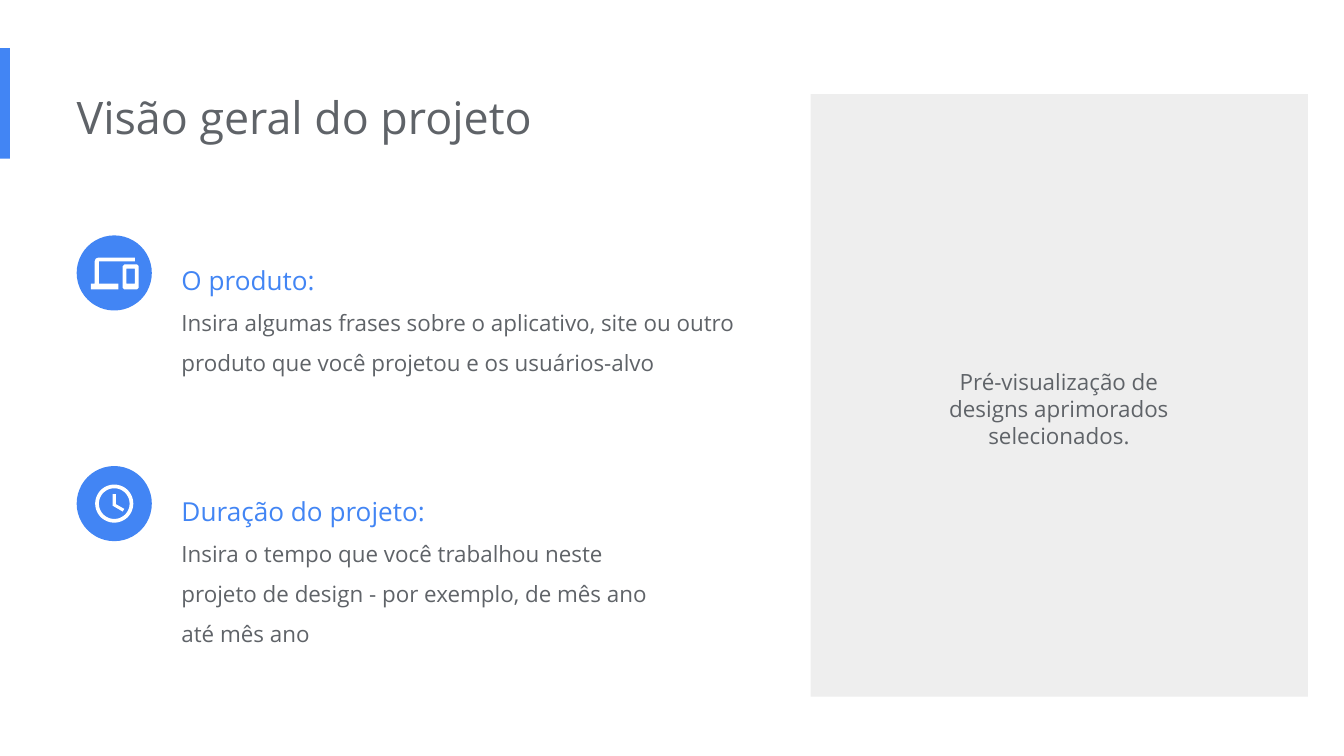
import math

import pptx
import pptx.dml.color
import pptx.enum.shapes
import pptx.enum.text
import pptx.util
from pptx.util import Cm

BLUE = pptx.dml.color.RGBColor(0x42, 0x85, 0xF4)
GRAY = pptx.dml.color.RGBColor(0x5F, 0x63, 0x68)
LIGHT_GRAY = pptx.dml.color.RGBColor(0xEE, 0xEE, 0xEE)
WHITE = pptx.dml.color.RGBColor(0xFF, 0xFF, 0xFF)
FONT = "Open Sans"

BADGE_LEFT = 1.45
BADGE_SIZE = 1.42
TEXT_LEFT = 3.43
UNITS_PER_CM = 1000

# Icon outlines in centimetres from the centre of their badge.
LAPTOP = [(-0.29, -0.22), (0.39, -0.22), (0.39, -0.29), (-0.3, -0.29),
          (-0.35, -0.27), (-0.37, -0.22), (-0.37, 0.2), (-0.44, 0.2),
          (-0.44, 0.31), (0.08, 0.31), (0.08, 0.2), (-0.29, 0.2)]
PHONE = [(0.19, -0.16), (0.43, -0.16), (0.46, -0.13), (0.46, 0.28),
         (0.43, 0.31), (0.19, 0.31), (0.16, 0.28), (0.16, -0.13)]
PHONE_SCREEN = [(0.23, -0.08), (0.23, 0.2), (0.39, 0.2), (0.39, -0.08)]
CLOCK_HANDS = [(-0.03, -0.18), (-0.03, 0.04), (0.16, 0.15),
               (0.19, 0.1), (0.03, 0.01), (0.03, -0.18)]


def circle_outline(radius, steps=60):
    angles = [2 * math.pi * step / steps for step in range(steps)]
    return [(radius * math.cos(a), radius * math.sin(a)) for a in angles]


def paint(shape, color):
    shape.shadow.inherit = False
    shape.fill.solid()
    shape.fill.fore_color.rgb = color
    shape.line.fill.background()


def add_filled_shape(slide, kind, left, top, width, height, color):
    shape = slide.shapes.add_shape(kind, Cm(left), Cm(top), Cm(width), Cm(height))
    paint(shape, color)


def add_text(slide, left, top, width, height, lines, left_inset=0,
             line_spacing=None, alignment=None):
    """Add a text box; each line is (text, size in points, colour)."""
    box = slide.shapes.add_textbox(Cm(left), Cm(top), Cm(width), Cm(height))
    frame = box.text_frame
    frame.text = "\n".join(text for text, _, _ in lines)
    frame.word_wrap = True
    frame.auto_size = pptx.enum.text.MSO_AUTO_SIZE.SHAPE_TO_FIT_TEXT
    frame.margin_left = Cm(left_inset)
    frame.margin_right = frame.margin_top = frame.margin_bottom = Cm(0.25)
    for paragraph, (_, size, color) in zip(frame.paragraphs, lines):
        paragraph.line_spacing = line_spacing
        paragraph.alignment = alignment
        for run in paragraph.runs:
            run.font.name = FONT
            run.font.size = pptx.util.Pt(size)
            run.font.color.rgb = color


def add_icon(slide, center_x, center_y, outlines):
    """Draw the outlines as one white freeform; inner outlines become holes."""
    contours = [[((center_x + x) * UNITS_PER_CM, (center_y + y) * UNITS_PER_CM)
                 for x, y in outline] for outline in outlines]
    builder = slide.shapes.build_freeform(*contours[0][0],
                                          scale=Cm(1) / UNITS_PER_CM)
    builder.add_line_segments(contours[0][1:], close=True)
    for contour in contours[1:]:
        builder.move_to(*contour[0])
        builder.add_line_segments(contour[1:], close=True)
    paint(builder.convert_to_shape(), WHITE)


def add_topic(slide, top, width, heading, body, icon):
    add_text(slide, TEXT_LEFT, top, width, 2.69,
             [(heading, 14, BLUE), (body, 12, GRAY)], line_spacing=1.5)
    add_filled_shape(slide, pptx.enum.shapes.MSO_SHAPE.OVAL,
                     BADGE_LEFT, top, BADGE_SIZE, BADGE_SIZE, BLUE)
    add_icon(slide, BADGE_LEFT + BADGE_SIZE / 2, top + BADGE_SIZE / 2, icon)


def main():
    presentation = pptx.Presentation()
    presentation.slide_width = Cm(25.4)
    presentation.slide_height = Cm(14.29)
    slide = presentation.slides.add_slide(presentation.slide_layouts[6])
    rectangle = pptx.enum.shapes.MSO_SHAPE.RECTANGLE

    add_filled_shape(slide, rectangle, 0, 0.91, 0.19, 2.09, BLUE)
    add_filled_shape(slide, rectangle, 15.32, 1.78, 9.4, 11.39, LIGHT_GRAY)
    add_text(slide, BADGE_LEFT, 1.45, 17.09, 1.55,
             [("Visão geral do projeto", 24, GRAY)])
    add_topic(slide, 4.45, 11.35, "O produto:",
              "Insira algumas frases sobre o aplicativo, site ou outro "
              "produto que você projetou e os usuários-alvo",
              [LAPTOP, PHONE, PHONE_SCREEN])
    add_topic(slide, 8.81, 9.58, "Duração do projeto:",
              "Insira o tempo que você trabalhou neste projeto de design - "
              "por exemplo, de mês ano até mês ano",
              [circle_outline(0.36), circle_outline(0.29), CLOCK_HANDS])
    add_text(slide, 17.5, 6.71, 5.03, 1.55,
             [("Pré-visualização de designs aprimorados selecionados.", 12, GRAY)],
             left_inset=0.25, alignment=pptx.enum.text.PP_ALIGN.CENTER)

    presentation.save("out.pptx")


if __name__ == "__main__":
    main()
